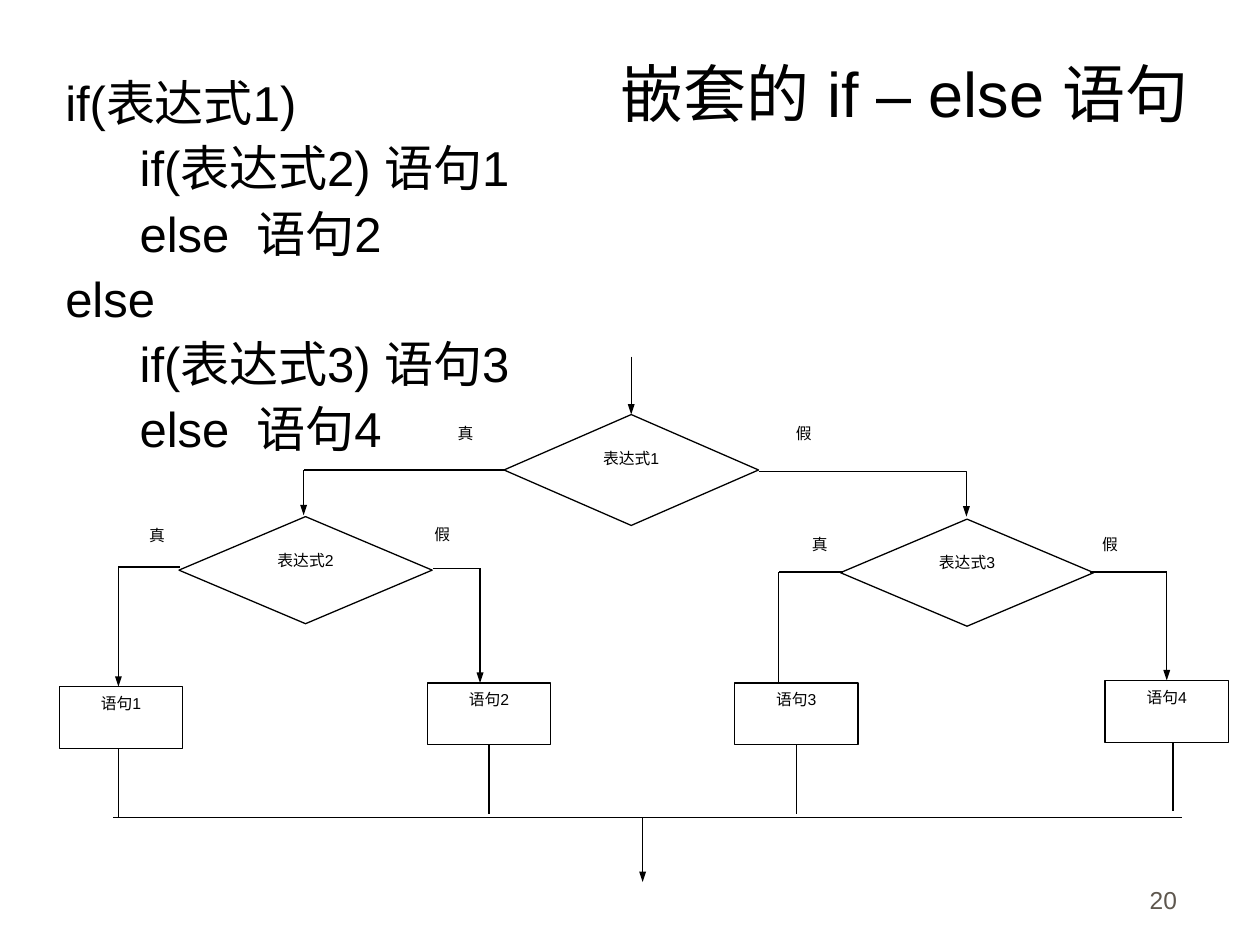
import pptx
import pptx.util
import pptx.dml.color
import pptx.enum.shapes
import pptx.enum.text
import pptx.oxml
import pptx.oxml.ns

Inches, Pt = pptx.util.Inches, pptx.util.Pt
KIND = pptx.enum.shapes.MSO_SHAPE
ALIGN = pptx.enum.text.PP_ALIGN
ANCHOR = pptx.enum.text.MSO_ANCHOR
HEX = {"ink": "000000", "paper": "FFFFFF", "page": "5E574E"}
FACE = "Arial"


def color(name):
    return pptx.dml.color.RGBColor.from_string(HEX[name])


def apply(item, **values):
    for name, value in values.items():
        setattr(item, name, value)


def child(parent, tag, **attrs):
    node = parent.makeelement(pptx.oxml.ns.qn(tag), attrs)
    parent.append(node)
    return node


def style(para, text, size, ink="ink", **values):
    """Fill one paragraph with a single run."""
    apply(para, **values)
    run = para.add_run()
    run.text = text
    apply(run.font, size=Pt(size), name=FACE)
    run.font.color.rgb = color(ink)
    child(run.font._element, "a:ea", typeface=FACE)


def area(slide, box, anchor=ANCHOR.TOP):
    frame = slide.shapes.add_textbox(*map(Inches, box)).text_frame
    apply(frame, word_wrap=True, vertical_anchor=anchor)
    return frame


def stroke(item, arrow=False):
    item.line.color.rgb = color("ink")
    item.line.width = Pt(0.75)
    if arrow:
        child(item.line._get_or_add_ln(), "a:tailEnd", type="triangle",
              w="sm", len="med")


def head(slide, box):
    frame = area(slide, box, ANCHOR.BOTTOM)
    style(frame.paragraphs[0], "嵌套的 if – else 语句", 36)


def code(slide, box):
    frame = area(slide, box)
    rows = [(0, "if(表达式1)"), (1, "if(表达式2) 语句1"), (1, "else  语句2"),
            (0, "else"), (1, "if(表达式3) 语句3"), (1, "else  语句4")]
    dents = [(0.38, -0.38), (0.9, -0.31)]
    for i, (level, text) in enumerate(rows):
        para = frame.add_paragraph() if i else frame.paragraphs[0]
        left, first = dents[level]
        props = para._p.get_or_add_pPr()
        props.set("marL", str(Inches(left)))
        props.set("indent", str(Inches(first)))
        style(para, text, 28, level=level, line_spacing=0.9,
              alignment=ALIGN.JUSTIFY, space_before=Pt(7 if i else 0))


def flow(slide, box):
    x0, y0 = box[:2]
    note = {"alignment": ALIGN.CENTER, "line_spacing": 1.04}

    def node(kind, text, x, y, w, h):
        shape = slide.shapes.add_shape(
            kind, *map(Inches, (x0 + x, y0 + y, w, h)))
        shape.shadow.inherit = False
        shape.fill.solid()
        shape.fill.fore_color.rgb = color("paper")
        stroke(shape)
        frame = shape.text_frame
        apply(frame, word_wrap=True, vertical_anchor=ANCHOR.TOP)
        style(frame.paragraphs[0], text, 9, **note)
        return shape

    def line(x1, y1, x2, y2, arrow=False, start=None, end=None):
        item = slide.shapes.add_connector(
            pptx.enum.shapes.MSO_CONNECTOR.STRAIGHT,
            *map(Inches, (x0 + x1, y0 + y1, x0 + x2, y0 + y2)))
        if start:
            item.begin_connect(*start)
        if end:
            item.end_connect(*end)
        stroke(item, arrow)
        child(item._element.spPr, "a:effectLst")

    # Decisions
    tests = [(3.53, 0.46, 2.02, 0.88), (0.95, 1.27, 2.01, 0.85),
             (6.2, 1.29, 2.01, 0.85)]
    root = [node(KIND.FLOWCHART_DECISION, f"表达式{i}", *spot)
            for i, spot in enumerate(tests, 1)][0]

    # Entry and first fork
    line(4.54, 0, 4.54, 0.46, True, end=(root, 0))
    line(3.53, 0.9, 1.94, 0.9, start=(root, 1))
    line(1.94, 0.9, 1.94, 1.26, True)
    turn = [(Inches(x0 + x), Inches(y0 + y))
            for x, y in ((5.55, 0.91), (7.2, 0.91), (7.2, 1.27))]
    route = slide.shapes.build_freeform(*turn[0])
    route.add_line_segments(turn[1:], close=False)
    bend = route.convert_to_shape()
    bend.shadow.inherit = False
    bend.fill.background()
    stroke(bend, True)

    # Statements: box left, box top, branch start, branch turn, branch y,
    # shift of the stem from the middle
    wide, high, stem = 0.98, 0.49, 0.55
    steps = [(0, 2.62, 0.96, 0.47, 1.67, -0.02),
             (2.92, 2.59, 2.97, 3.34, 1.68, 0),
             (5.36, 2.59, 6.22, 5.71, 1.71, 0),
             (8.3, 2.57, 8.18, 8.79, 1.71, 0.05)]
    for i, (x, y, near, far, level, shift) in enumerate(steps, 1):
        mid, foot = x + wide / 2, y + high
        line(near, level, far, level)
        # The third arrow tip lies beneath its box
        tip = y + 0.18 if i == 3 else y
        centred = abs(far - mid) < 0.01
        if not centred:
            line(far, level, far, tip, True)
        step = node(KIND.FLOWCHART_PROCESS, f"语句{i}", x, y, wide, high)
        if centred:
            line(far, level, far, tip, True, end=(step, 0))
        line(mid + shift, foot, mid + shift, foot + stem,
             start=None if shift else (step, 2))

    # Merge and exit
    line(0.43, 3.66, 8.91, 3.66)
    line(4.63, 3.66, 4.63, 4.17, True)

    # Branch labels
    widths = {"真": 0.61, "假": 0.56}
    labels = [("真", 2.92, 0.48), ("假", 5.63, 0.48), ("真", 0.47, 1.29),
              ("假", 2.76, 1.28), ("真", 5.73, 1.36), ("假", 8.06, 1.36)]
    for text, x, y in labels:
        frame = area(slide, (x0 + x, y0 + y, widths[text], 0.46))
        style(frame.paragraphs[0], text, 9, **note)


def page(slide, box):
    frame = area(slide, box, ANCHOR.BOTTOM)
    style(frame.paragraphs[0], "20", 14, "page", alignment=ALIGN.RIGHT)


def main():
    deck = pptx.Presentation()
    apply(deck, slide_width=Inches(10), slide_height=Inches(7.5))
    slide = deck.slides.add_slide(deck.slide_layouts[6])
    head(slide, (4.83, 0.33, 5.1, 0.75))
    code(slide, (0.42, 0.58, 4.17, 3.25))
    flow(slide, (0.47, 2.83, 9.28, 4.17))
    page(slide, (7.36, 6.81, 2.08, 0.5))
    deck.save("out.pptx")


if __name__ == "__main__":
    main()
